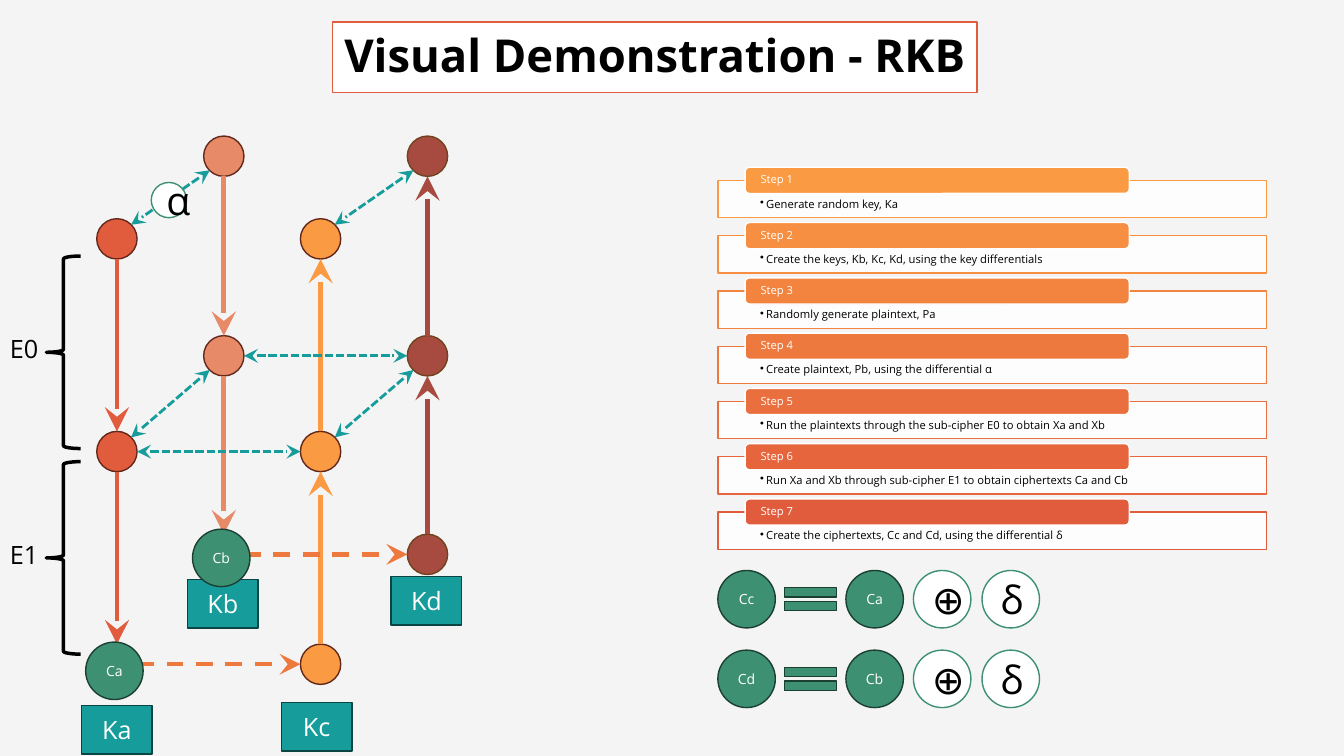
"""Build the slide that shows the related-key boomerang step by step."""
from lxml import etree
from pptx import Presentation
from pptx import util as u
from pptx.dml.color import RGBColor
from pptx.enum import dml, shapes, text
from pptx.oxml import ns

COLORS = {
    "background": "F4F4F4", "white": "FFFFFF", "black": "000000",
    "a": "E15C3D", "b": "E78A67", "c": "FA9A42", "d": "A74B40",
    "node_edge": "63281B", "d_edge": "6E431D",
    "teal": "169C9A", "teal_edge": "0A4443",
    "green": "3D9072", "green_edge": "1B3F32", "orange": "EE793F",
}
COLUMNS = {"a": 1.16, "b": 2.22, "c": 3.18, "d": 4.24}
FRONT_ROWS, BACK_ROWS = (2.37, 4.48, 6.59), (1.55, 3.53, 5.5)
ROWS = {"a": FRONT_ROWS, "b": BACK_ROWS, "c": FRONT_ROWS, "d": BACK_ROWS}
KEY_LINKS = ["b0 a0", "b1 a1", "d0 c0", "d1 c1", "a1 c1", "b1 d1"]
CIPHER_LINKS = ["a0 a1", "a1 a2", "b0 b1", "b1 b2", "d2 d1", "d1 d0", "c2 c1", "c1 c0"]
STEPS = [
    ("FA9A42", "Generate random key, Ka"),
    ("F68F41", "Create the keys, Kb, Kc, Kd, using the key differentials"),
    ("F28440", "Randomly generate plaintext, Pa"),
    ("EE793F", "Create plaintext, Pb, using the differential α"),
    ("EA6F3E", "Run the plaintexts through the sub-cipher E0 to obtain Xa and Xb"),
    ("E6653D", "Run Xa and Xb through sub-cipher E1 to obtain ciphertexts Ca and Cb"),
    ("E15C3D", "Create the ciphertexts, Cc and Cd, using the differential δ"),
]
KEYS = {"Ka": (0.81, 7), "Kb": (1.86, 5.75), "Kd": (3.88, 5.72), "Kc": (2.79, 6.97)}


def rgb(color):
    """Return the colour for a palette name or a hex string."""
    return RGBColor.from_string(COLORS.get(color, color))


def center(node):
    """Return the centre of a node such as a0."""
    return COLUMNS[node[0]], ROWS[node[0]][int(node[1])]


class Board:
    """Draw styled elements on one slide."""

    font = "Open Sans"

    def __init__(self, presentation):
        """Add a title-only slide with the background colour."""
        self.slide = presentation.slides.add_slide(presentation.slide_layouts[5])
        self.slide.background.fill.solid()
        self.slide.background.fill.fore_color.rgb = rgb("background")

    def paint(self, shape, fill, edge, width=1):
        """Set the fill and the outline of a shape."""
        if fill:
            shape.fill.solid()
            shape.fill.fore_color.rgb = rgb(fill)
        else:
            shape.fill.background()
        shape.line.color.rgb = rgb(edge)
        shape.line.width = u.Pt(width)

    def caption(self, shape, words, size, color="white", align=text.PP_ALIGN.CENTER,
                anchor=text.MSO_ANCHOR.MIDDLE, insets=None, bold=False, bullet=False):
        """Put one formatted paragraph into a shape."""
        frame = shape.text_frame
        frame.word_wrap = True
        frame.vertical_anchor = anchor
        if insets:
            (frame.margin_left, frame.margin_top,
             frame.margin_right, frame.margin_bottom) = map(u.Inches, insets)
        paragraph = frame.paragraphs[0]
        paragraph.text = words
        paragraph.alignment = align
        if bullet:
            properties = paragraph._p.get_or_add_pPr()
            properties.set("marL", str(u.Inches(0.06)))
            properties.set("indent", str(-u.Inches(0.06)))
            etree.SubElement(properties, ns.qn("a:buChar"), char="•")
        paragraph.font.name = self.font
        paragraph.font.size = u.Pt(size)
        paragraph.font.bold = bold
        paragraph.font.color.rgb = rgb(color)

    def title(self, words, box):
        """Place and format the title."""
        shape = self.slide.shapes.title
        shape.left, shape.top, shape.width, shape.height = map(u.Inches, box)
        self.paint(shape, "white", "a")
        self.caption(shape, words, 32.4, "black", bold=True)
        shape.text_frame.paragraphs[0].line_spacing = 0.9

    def shape(self, kind, box, fill, edge, width=1):
        """Add a preset shape without a shadow."""
        shape = self.slide.shapes.add_shape(kind, *map(u.Inches, box))
        shape.shadow.inherit = False
        self.paint(shape, fill, edge, width)
        return shape

    def circle(self, x, y, size, fill, edge):
        """Add a circle by its top left corner."""
        kind = shapes.MSO_SHAPE.FLOWCHART_CONNECTOR
        return self.shape(kind, (x, y, size, size), fill, edge)

    def cipher(self, words, x, y):
        """Add a green ciphertext circle."""
        self.caption(self.circle(x, y, 0.57, "green", "green_edge"), words, 10)

    def symbol(self, words, x, y, size=0.57):
        """Add a white circle with a large symbol."""
        self.caption(self.circle(x, y, size, "white", "green"), words, 28, "black")

    def link(self, start, end, color, width, dash=None, both=False):
        """Add an arrow from the rim of one node to the rim of another."""
        (x1, y1), (x2, y2) = center(start), center(end)
        gap = 0.14 if x1 != x2 and y1 != y2 else 0.2
        dx, dy = (gap * ((q > p) - (q < p)) for p, q in ((x1, x2), (y1, y2)))
        points = map(u.Inches, (x1 + dx, y1 + dy, x2 - dx, y2 - dy))
        connector = self.slide.shapes.add_connector(shapes.MSO_CONNECTOR.STRAIGHT, *points)
        connector.line.color.rgb = rgb(color)
        connector.line.width = u.Pt(width)
        if dash:
            connector.line.dash_style = dash
        for tag in ("a:headEnd", "a:tailEnd") if both else ("a:tailEnd",):
            etree.SubElement(connector.line._get_or_add_ln(), ns.qn(tag),
                             type="stealth", w="lg", len="lg")
        etree.SubElement(connector._element.spPr, ns.qn("a:effectLst"))

    def step(self, number, color, words):
        """Add a numbered step with its description."""
        top = 1.79 + (number - 1) * (5.08 - 1.79) / 6
        left = text.PP_ALIGN.LEFT
        panel = self.shape(shapes.MSO_SHAPE.RECTANGLE, (7.12, top, 5.44, 0.37), "white", color)
        tint = panel._element.spPr.find(ns.qn("a:solidFill"))[0]
        etree.SubElement(tint, ns.qn("a:alpha"), val="90000")
        self.caption(panel, words, 8, "black", left, text.MSO_ANCHOR.TOP,
                     (0.42, 0.18, 0.42, 0.06), bullet=True)
        tab = self.shape(shapes.MSO_SHAPE.ROUNDED_RECTANGLE, (7.39, top - 0.13, 3.81, 0.26),
                         color, "white")
        self.caption(tab, f"Step {number}", 8, align=left, insets=(0.14, 0, 0.14, 0))
        for shape in (panel, tab):
            shape.text_frame.paragraphs[0].line_spacing = 0.9

    def key(self, words, x, y):
        """Add a teal key label."""
        box = self.shape(shapes.MSO_SHAPE.RECTANGLE, (x, y, 0.7, 0.48), "teal", "teal_edge")
        self.caption(box, words, 18)

    def stage(self, words, top):
        """Add a brace with the name of its sub-cipher."""
        self.shape(shapes.MSO_SHAPE.LEFT_BRACE, (0.46, top, 0.34, 1.91), None, "black", 2.5)
        label = self.slide.shapes.add_textbox(*map(u.Inches, (0, top + 0.72, 0.54, 0.4)))
        self.caption(label, words, 18, "black", text.PP_ALIGN.LEFT, text.MSO_ANCHOR.TOP)

    def equation(self, result, source, top):
        """Add a row that derives one ciphertext from another."""
        self.cipher(result, 7.12, top)
        self.shape(shapes.MSO_SHAPE.MATH_EQUAL, (7.69, top + 0.09, 0.7, 0.39),
                   "green", "green_edge")
        self.cipher(source, 8.39, top)
        self.symbol("⊕", 9.06, top)
        self.symbol("δ", 9.74, top)


def main():
    """Build and save the presentation."""
    presentation = Presentation()
    presentation.slide_width, presentation.slide_height = u.Inches(13.33), u.Inches(7.5)
    board = Board(presentation)
    board.title("Visual Demonstration - RKB", (3.3, 0.22, 6.39, 0.7))
    for column, x in COLUMNS.items():
        for y in ROWS[column]:
            edge = "d_edge" if column == "d" else "node_edge"
            board.circle(x - 0.2, y - 0.2, 0.4, column, edge)
    for pair in CIPHER_LINKS:
        board.link(*pair.split(), pair[0], 3.5)
    for pair in KEY_LINKS:
        board.link(*pair.split(), "teal", 2, dml.MSO_LINE.SQUARE_DOT, both=True)
    for pair in ("a2 c2", "b2 d2"):
        board.link(*pair.split(), "orange", 3, dml.MSO_LINE.DASH)
    for number, (color, words) in enumerate(STEPS, 1):
        board.step(number, color, words)
    for words, corner in KEYS.items():
        board.key(words, *corner)
    board.cipher("Ca", 0.85, 6.37)
    board.cipher("Cb", 1.91, 5.25)
    board.symbol("α", 1.5, 1.81, 0.35)
    board.stage("E0", 2.54)
    board.stage("E1", 4.58)
    board.equation("Cc", "Ca", 5.66)
    board.equation("Cd", "Cb", 6.45)
    presentation.save("out.pptx")


if __name__ == "__main__":
    main()
